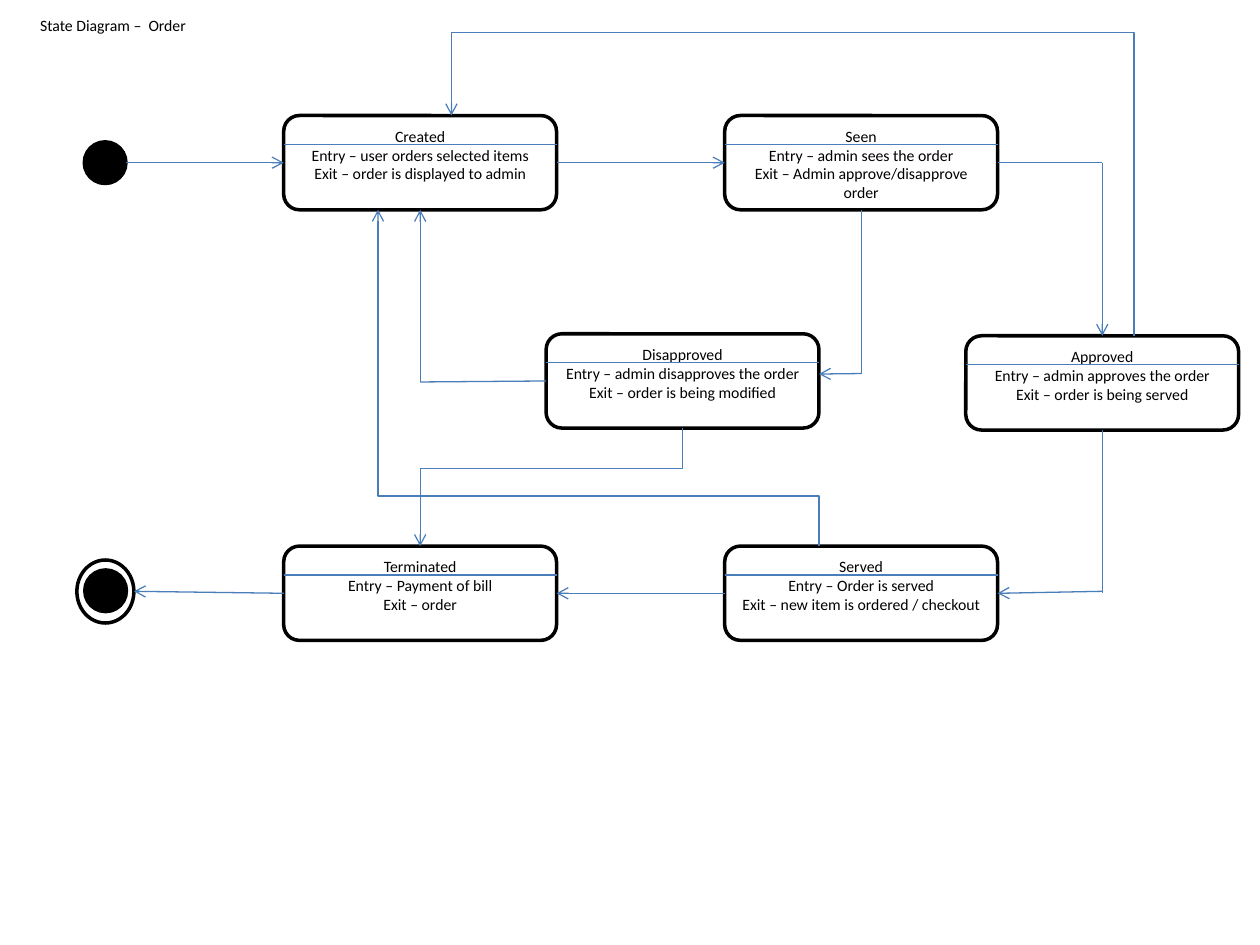
from dataclasses import dataclass
from typing import Any, NamedTuple, Union

from lxml.etree import SubElement
from pptx import Presentation
from pptx.dml.color import RGBColor
from pptx.enum.shapes import MSO_CONNECTOR, MSO_SHAPE
from pptx.enum.text import MSO_ANCHOR, MSO_AUTO_SIZE, PP_ALIGN
from pptx.oxml.ns import qn
from pptx.util import Cm, Pt


@dataclass(frozen=True)
class Theme:
    ink: RGBColor = RGBColor(0, 0, 0)
    paper: RGBColor = RGBColor(255, 255, 255)
    link: RGBColor = RGBColor(0x4A, 0x7E, 0xBB)
    font: str = "Calibri"
    text_size: Pt = Pt(9)
    outline: Pt = Pt(2)
    link_width: Pt = Pt(0.75)


THEME = Theme()
FONT_FORMAT = {"name": THEME.font, "size": THEME.text_size}
STATE_WIDTH, STATE_HEIGHT, HEADING_HEIGHT = 5.5, 1.9, 0.58
TOP, LEFT, BOTTOM, RIGHT = range(4)


# All coordinates below are in centimetres
@dataclass(frozen=True)
class State:
    name: str
    left: float
    top: float
    entry: str
    exit: str


class Point(NamedTuple):
    x: float
    y: float


class Dock(NamedTuple):
    state: str
    side: int


class Link(NamedTuple):
    begin: Union[Point, Dock]
    end: Union[Point, Dock]
    arrow: bool = True


class Elbow(NamedTuple):
    begin: Point
    end: Point
    turn_y: float


STATES = [
    State("Created", 5.72, 2.33, "user orders selected items", "order is displayed to admin"),
    State("Seen", 14.61, 2.33, "admin sees the order", "Admin approve/disapprove order"),
    State("Approved", 19.47, 6.77, "admin approves the order", "order is being served"),
    State("Served", 14.61, 11.01, "Order is served", "new item is ordered / checkout"),
    State("Terminated", 5.72, 11.01, "Payment of bill", "order"),
    State("Disapproved", 11.01, 6.73, "admin disapproves the order", "order is being modified"),
]

APPROVE_CORNER = Point(22.22, 3.28)
DISAPPROVE_CORNER = Point(17.36, 7.53)
MODIFY_CORNER = Point(8.47, 7.7)
LINKS = [
    Link(Point(2.54, 3.28), Dock("Created", LEFT)),
    Link(Dock("Created", RIGHT), Dock("Seen", LEFT)),
    Link(Dock("Seen", RIGHT), APPROVE_CORNER, arrow=False),
    Link(APPROVE_CORNER, Dock("Approved", TOP)),
    Link(Dock("Approved", BOTTOM), Point(22.22, 11.96), arrow=False),
    Link(Point(22.22, 11.92), Dock("Served", RIGHT)),
    Link(Dock("Served", LEFT), Dock("Terminated", RIGHT)),
    Link(Dock("Terminated", LEFT), Point(2.7, 11.92)),
    Link(Dock("Seen", BOTTOM), DISAPPROVE_CORNER, arrow=False),
    Link(DISAPPROVE_CORNER, Point(16.51, 7.54)),
    Link(Dock("Disapproved", LEFT), MODIFY_CORNER, arrow=False),
    Link(MODIFY_CORNER, Dock("Created", BOTTOM)),
]

# Each elbow leaves vertically, turns left, and arrives vertically
ELBOWS = [
    Elbow(Point(16.51, 11.01), Point(7.62, 4.23), 10.0),
    Elbow(Point(22.86, 6.77), Point(9.1, 2.33), 0.66),
    Elbow(Point(13.76, 8.63), Point(8.47, 11.01), 9.44),
]


def apply_format(target: Any, values: dict[str, Any]) -> None:
    for name, value in values.items():
        setattr(target, name, value)


def write_paragraph(paragraph: Any, text: str, alignment: PP_ALIGN) -> None:
    paragraph.text = text
    paragraph.alignment = alignment
    apply_format(paragraph.font, FONT_FORMAT)
    paragraph.font.color.rgb = THEME.ink


def add_outlined(shapes: Any, kind: MSO_SHAPE, left: float, top: float,
                 width: float, height: float, fill: RGBColor) -> Any:
    shape = shapes.add_shape(kind, Cm(left), Cm(top), Cm(width), Cm(height))
    shape.shadow.inherit = False
    shape.fill.solid()
    shape.fill.fore_color.rgb = fill
    shape.line.color.rgb = THEME.ink
    shape.line.width = THEME.outline
    return shape


def style_connector(connector: Any, arrow: bool) -> None:
    connector.line.color.rgb = THEME.link
    connector.line.width = THEME.link_width
    properties = connector.element.spPr
    if arrow:
        SubElement(properties.find(qn("a:ln")), qn("a:tailEnd"), type="arrow")
    SubElement(properties, qn("a:effectLst"))


def add_state(shapes: Any, state: State) -> Any:
    shape = add_outlined(shapes, MSO_SHAPE.ROUNDED_RECTANGLE, state.left, state.top,
                         STATE_WIDTH, STATE_HEIGHT, THEME.paper)
    frame = shape.text_frame
    apply_format(frame, {"word_wrap": True, "vertical_anchor": MSO_ANCHOR.TOP})
    lines = [state.name, f"Entry – {state.entry}", f"Exit – {state.exit}"]
    for index, line in enumerate(lines):
        paragraph = frame.add_paragraph() if index else frame.paragraphs[0]
        write_paragraph(paragraph, line, PP_ALIGN.CENTER)
    divider_y = Cm(state.top + HEADING_HEIGHT)
    divider = shapes.add_connector(MSO_CONNECTOR.STRAIGHT, Cm(state.left), divider_y,
                                   Cm(state.left + STATE_WIDTH), divider_y)
    style_connector(divider, arrow=False)
    return shape


def add_link(shapes: Any, link: Link, boxes: dict[str, Any]) -> None:
    begin, end = (Point(0, 0) if isinstance(place, Dock) else place
                  for place in (link.begin, link.end))
    connector = shapes.add_connector(MSO_CONNECTOR.STRAIGHT, Cm(begin.x), Cm(begin.y),
                                     Cm(end.x), Cm(end.y))
    for place, connect in ((link.begin, connector.begin_connect),
                           (link.end, connector.end_connect)):
        if isinstance(place, Dock):
            connect(boxes[place.state], place.side)
    style_connector(connector, link.arrow)


def add_elbow(shapes: Any, elbow: Elbow) -> None:
    begin, end, turn_y = elbow
    rise = end.y - begin.y
    # The frame is laid out sideways, then turned about its centre
    length, breadth = abs(rise), abs(end.x - begin.x)
    left = (begin.x + end.x - length) / 2
    top = (begin.y + end.y - breadth) / 2
    connector = shapes.add_connector(MSO_CONNECTOR.ELBOW, Cm(left), Cm(top),
                                     Cm(left + length), Cm(top + breadth))
    properties = connector.element.spPr
    frame = properties.find(qn("a:xfrm"))
    frame.set("rot", str((90 if rise > 0 else 270) * 60000))
    if rise < 0:
        frame.set("flipV", "1")
    adjustments = properties.find(qn("a:prstGeom")).find(qn("a:avLst"))
    ratio = round((turn_y - begin.y) / rise * 100000)
    SubElement(adjustments, qn("a:gd"), name="adj1", fmla=f"val {ratio}")
    style_connector(connector, arrow=True)


def main() -> None:
    presentation = Presentation()
    apply_format(presentation, {"slide_width": Cm(25.4), "slide_height": Cm(19.05)})
    slide = presentation.slides.add_slide(presentation.slide_layouts[6])
    shapes = slide.shapes

    # Title
    title = shapes.add_textbox(Cm(0.56), Cm(0.2), Cm(3.45), Cm(0.64))
    apply_format(title.text_frame, {"word_wrap": False,
                                    "auto_size": MSO_AUTO_SIZE.SHAPE_TO_FIT_TEXT})
    write_paragraph(title.text_frame.paragraphs[0], "State Diagram –  Order", PP_ALIGN.LEFT)

    # Initial and final markers
    add_outlined(shapes, MSO_SHAPE.OVAL, 1.7, 2.86, 0.84, 0.84, THEME.ink)
    final = shapes.add_group_shape().shapes
    add_outlined(final, MSO_SHAPE.OVAL, 1.55, 11.29, 1.15, 1.27, THEME.paper)
    add_outlined(final, MSO_SHAPE.OVAL, 1.71, 11.49, 0.84, 0.84, THEME.ink)

    # States and transitions
    boxes = {state.name: add_state(shapes, state) for state in STATES}
    for link in LINKS:
        add_link(shapes, link, boxes)
    for elbow in ELBOWS:
        add_elbow(shapes, elbow)

    presentation.save("out.pptx")


if __name__ == "__main__":
    main()
